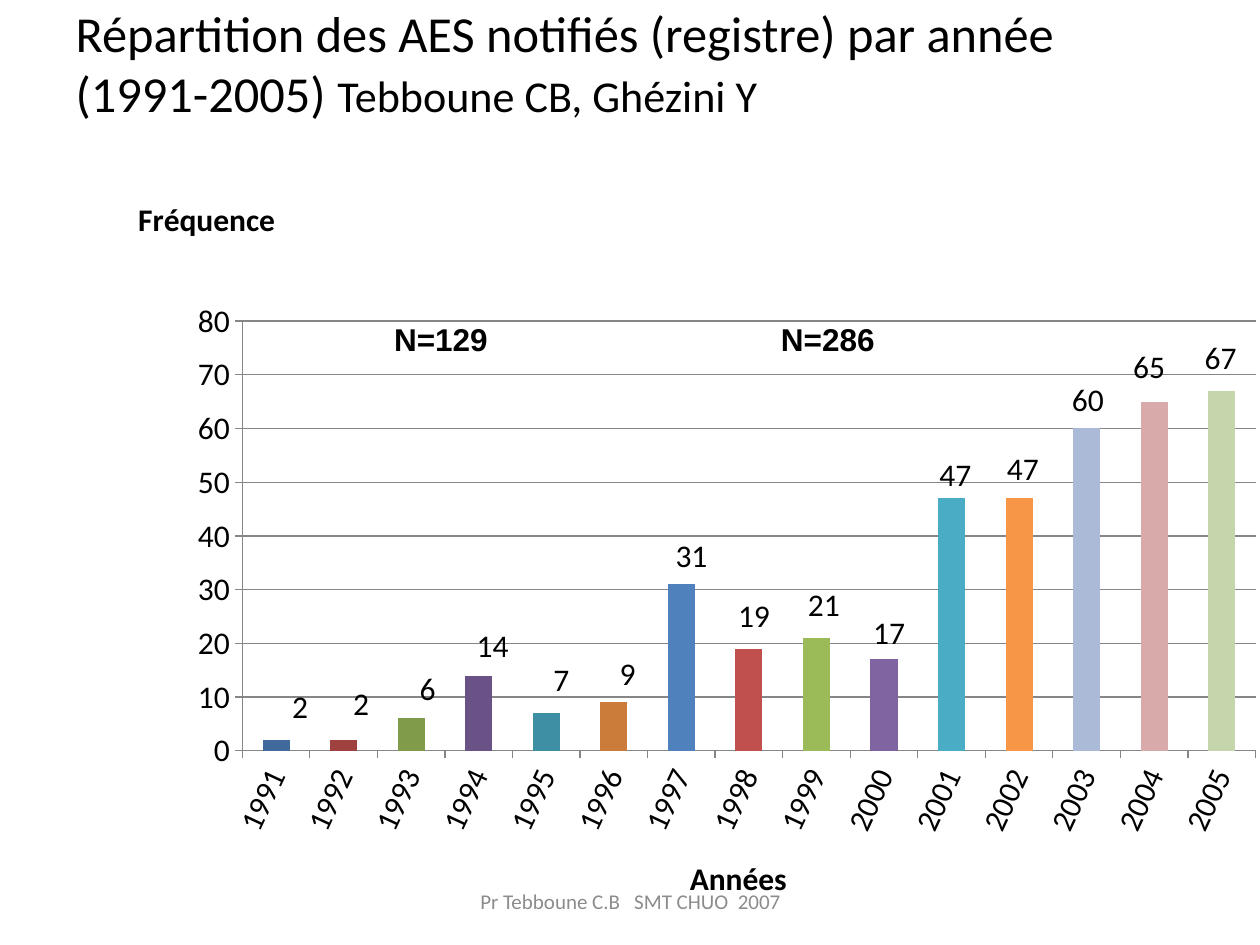
"""Build the slide on yearly notified AES, with its column chart."""
from typing import NamedTuple

from lxml import etree
from pptx import Presentation
from pptx.chart.data import CategoryChartData
from pptx.dml.color import RGBColor
from pptx.enum.chart import XL_CHART_TYPE, XL_LABEL_POSITION, XL_TICK_MARK
from pptx.enum.text import MSO_ANCHOR, MSO_AUTO_SIZE, PP_ALIGN
from pptx.oxml import parse_xml
from pptx.oxml.ns import nsdecls, qn
from pptx.util import Inches, Pt

COLUMNS = XL_CHART_TYPE.COLUMN_CLUSTERED
OUTSIDE_END = XL_LABEL_POSITION.OUTSIDE_END
TICK_OUTSIDE = XL_TICK_MARK.OUTSIDE
MIDDLE, TOP = MSO_ANCHOR.MIDDLE, MSO_ANCHOR.TOP
LEFT, CENTER = PP_ALIGN.LEFT, PP_ALIGN.CENTER
FIXED = MSO_AUTO_SIZE.NONE

PAGE_WIDTH, PAGE_HEIGHT = 10, 7.5
CHART_WIDTH, CHART_HEIGHT = 9.8, 7.09
DEFAULT_LIFT = 0.18
BLACK, AXIS_GREY, FOOTER_GREY = "000000", "868686", "8C8C8C"
NO_LEADER_LINES = (
    f'<c:extLst {nsdecls("c")}><c:ext uri="{{CE6537A1-D6FC-4f65-9D91-7224C49458BB}}" '
    'xmlns:c15="http://schemas.microsoft.com/office/drawing/2012/chart">'
    '<c15:showLeaderLines val="0"/></c:ext></c:extLst>')


class Area(NamedTuple):
    """A rectangle given in shares of the slide's size."""
    left: float
    top: float
    width: float
    height: float


class Caption(NamedTuple):
    """A single-line text box."""
    text: str
    area: Area
    size: float
    font: str
    color: str
    bold: bool
    align: PP_ALIGN
    anchor: MSO_ANCHOR


class YearCount(NamedTuple):
    """A yearly count and its label's place, in inches from the column's top."""
    year: int
    count: int
    shift: float
    lift: float


TITLE_AREA = Area(0.05, 0, 0.9, 0.132)
CHART_AREA = Area(0.017, 0.043, CHART_WIDTH / PAGE_WIDTH, CHART_HEIGHT / PAGE_HEIGHT)
CAPTIONS = [
    Caption("Pr Tebboune C.B   SMT CHUO  2007", Area(0.342, 0.927, 0.317, 0.053),
            12, "Calibri", FOOTER_GREY, False, CENTER, MIDDLE),
    *[Caption(text, Area(left, 0.332, 0.134, 0.113), 18, "Arial", BLACK, True, LEFT, TOP)
      for text, left in (("N=129", 0.303), ("N=286", 0.61))],
]
COUNTS = [
    YearCount(1991, 2, 0.19, 0.25), YearCount(1992, 2, 0.14, 0.27),
    YearCount(1993, 6, 0.13, 0.22), YearCount(1994, 14, 0.11, 0.22),
    YearCount(1995, 7, 0.12, 0.25), YearCount(1996, 9, 0.11, 0.21),
    YearCount(1997, 31, 0.08, 0.21), YearCount(1998, 19, 0.04, 0.25),
    YearCount(1999, 21, 0.06, 0.25), YearCount(2000, 17, 0.04, 0.2),
    YearCount(2001, 47, 0.03, 0.17), YearCount(2002, 47, 0.03, 0.22),
    YearCount(2003, 60, 0.01, 0.21), YearCount(2004, 65, -0.04, 0.26),
    YearCount(2005, 67, -0.01, 0.25),
]


def rgb(color: str) -> RGBColor:
    """Turn a hex string into a colour."""
    return RGBColor.from_string(color)


def style_font(font, size: float, name: str = "Calibri", color: str = BLACK, bold: bool = False) -> None:
    """Set size, face, colour and weight."""
    font.size, font.name, font.bold = Pt(size), name, bold
    font.color.rgb = rgb(color)


def place(area: Area) -> tuple:
    """Convert shares of the slide to lengths."""
    return (Inches(area.left * PAGE_WIDTH), Inches(area.top * PAGE_HEIGHT),
            Inches(area.width * PAGE_WIDTH), Inches(area.height * PAGE_HEIGHT))


def manual_layout(**settings) -> etree._Element:
    """Make a chart layout element from its settings, in schema order."""
    parts = "".join(f'<c:{key} val="{value}"/>' for key, value in settings.items())
    return parse_xml(f'<c:layout {nsdecls("c")}><c:manualLayout>{parts}</c:manualLayout></c:layout>')


def add_title(page) -> None:
    """Fill the title placeholder with the heading and its authors."""
    title = page.shapes.title
    title.left, title.top, title.width, title.height = place(TITLE_AREA)
    frame = title.text_frame
    frame.auto_size, frame.vertical_anchor = FIXED, MIDDLE
    para = frame.paragraphs[0]
    para.alignment = LEFT
    for text, size in (("Répartition des AES notifiés (registre) par année (1991-2005) ", 28.8),
                       ("Tebboune CB, Ghézini Y", 25.2)):
        span = para.add_run()
        span.text = text
        style_font(span.font, size)


def add_caption(page, caption: Caption) -> None:
    """Add a text box."""
    frame = page.shapes.add_textbox(*place(caption.area)).text_frame
    frame.word_wrap, frame.vertical_anchor = True, caption.anchor
    para = frame.paragraphs[0]
    para.text, para.alignment = caption.text, caption.align
    style_font(para.font, caption.size, caption.font, caption.color, caption.bold)


def style_axis(axis, title: str, left: float, top: float, angle: int) -> None:
    """Style an axis and put its horizontal title at a share of the chart."""
    axis.major_tick_mark = TICK_OUTSIDE
    axis.format.line.color.rgb = rgb(AXIS_GREY)
    style_font(axis.tick_labels.font, 18)
    body = axis._element.find(qn("c:txPr")).find(qn("a:bodyPr"))
    body.set("rot", str(angle * 60000))
    frame = axis.axis_title.text_frame
    frame.text = title
    style_font(frame.paragraphs[0].font, 18, bold=True)
    frame._txBody.find(qn("a:bodyPr")).set("rot", "0")
    element = axis.axis_title._element
    for old in element.findall(qn("c:layout")):
        element.remove(old)
    element.find(qn("c:tx")).addnext(manual_layout(xMode="edge", yMode="edge", x=left, y=top))


def place_labels(series) -> None:
    """Show each column's value at its own offset, without leader lines."""
    for index in range(len(COUNTS)):
        label = series.points[index].data_label
        style_font(label.font, 18)
        label.position = OUTSIDE_END
    for item, element in zip(COUNTS, series._element.iter(qn("c:dLbl"))):
        shift_x = round(item.shift / CHART_WIDTH, 4)
        shift_y = round((DEFAULT_LIFT - item.lift) / CHART_HEIGHT, 4)
        element.find(qn("c:idx")).addnext(manual_layout(x=shift_x, y=shift_y))
    series.data_labels.show_value = True
    labels = series._element.find(qn("c:dLbls"))
    for leader in labels.findall(qn("c:showLeaderLines")):
        leader.set("val", "0")
    labels.append(parse_xml(NO_LEADER_LINES))


def add_frequency_chart(page) -> None:
    """Add the column chart of yearly counts."""
    data = CategoryChartData()
    data.categories = [str(item.year) for item in COUNTS]
    data.add_series("Series 1", [item.count for item in COUNTS])
    chart = page.shapes.add_chart(COLUMNS, *place(CHART_AREA), data).chart
    chart.has_legend = chart.has_title = False
    style_font(chart.font, 18)
    plot = chart.plots[0]
    plot.vary_by_categories, plot.gap_width = True, 150
    style_axis(chart.category_axis, "Années", 0.537, 0.907, -65)
    values = chart.value_axis
    style_axis(values, "Fréquence", 0.09, 0.169, 0)
    values.minimum_scale, values.maximum_scale, values.major_unit = 0, 80, 10
    values.major_gridlines.format.line.color.rgb = rgb(AXIS_GREY)
    place_labels(plot.series[0])
    area = chart._chartSpace.chart.plotArea
    for old in area.findall(qn("c:layout")):
        area.remove(old)
    area.insert(0, manual_layout(layoutTarget="inner", xMode="edge", yMode="edge",
                                 x=0.179, y=0.314, w=0.821, h=0.481))


def main() -> None:
    """Build and save the deck."""
    deck = Presentation()
    deck.slide_width, deck.slide_height = Inches(PAGE_WIDTH), Inches(PAGE_HEIGHT)
    page = deck.slides.add_slide(deck.slide_layouts[5])
    add_title(page)
    add_frequency_chart(page)
    for caption in CAPTIONS:
        add_caption(page, caption)
    deck.save("out.pptx")


if __name__ == "__main__":
    main()
